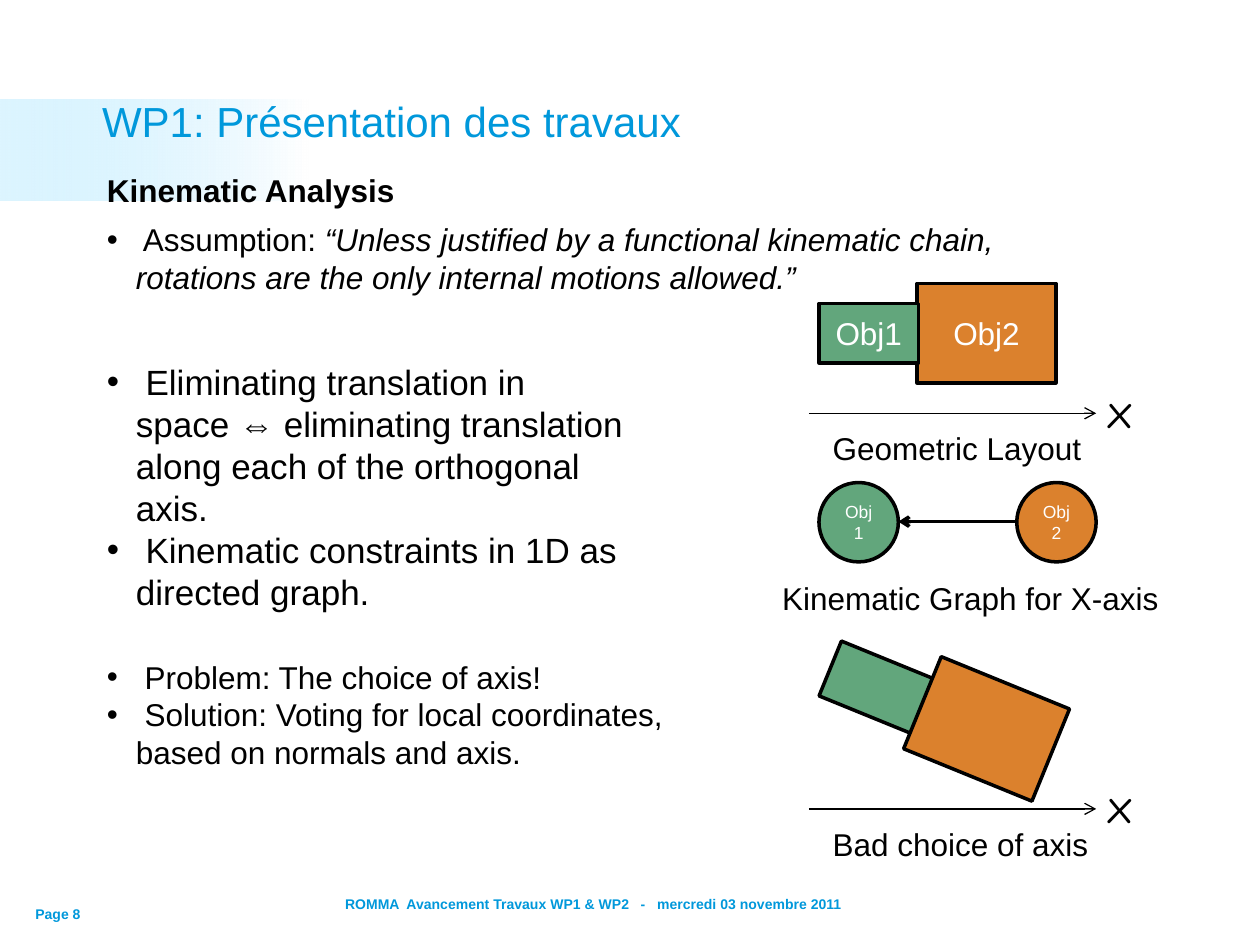
from dataclasses import dataclass

from lxml.etree import SubElement
from pptx import Presentation
from pptx.dml.color import RGBColor
from pptx.enum.shapes import MSO_CONNECTOR, MSO_SHAPE
from pptx.enum.text import MSO_ANCHOR, PP_ALIGN
from pptx.oxml.ns import qn
from pptx.util import Inches, Pt


@dataclass(frozen=True)
class Theme:
    font: str = "Arial"
    axis_font: str = "Comic Neue"
    blue: str = "0098DB"
    sky: str = "AAE6FF"
    white: str = "FFFFFF"
    black: str = "000000"
    green: str = "62A67C"
    orange: str = "DB812D"
    title: int = 24
    large: int = 20
    body: int = 18
    node: int = 10
    footer: int = 8
    axis: int = 28
    outline: float = 2
    thin: float = 0.75


class Deck:
    COLS, ROWS = 100, 75

    def __init__(self, theme):
        self.t = theme
        self.prs = Presentation()
        self.prs.slide_width, self.prs.slide_height = Inches(10), Inches(7.5)
        self.s = self.prs.slides.add_slide(self.prs.slide_layouts[6])

    def x(self, cols):
        return round(self.prs.slide_width * cols / self.COLS)

    def y(self, rows):
        return round(self.prs.slide_height * rows / self.ROWS)

    def box(self, col, row, cols, rows):
        return self.x(col), self.y(row), self.x(cols), self.y(rows)

    def run(self, p, text, size, color, bold=False, italic=False, font=None):
        r = p.add_run()
        r.text = text
        r.font.name = font or self.t.font
        r.font.size = Pt(size)
        r.font.bold, r.font.italic = bold, italic
        r.font.color.rgb = RGBColor.from_string(color)

    def frame(self, at, wrap=True, inset=True, anchor=MSO_ANCHOR.TOP):
        tf = self.s.shapes.add_textbox(*self.box(*at)).text_frame
        tf.word_wrap, tf.vertical_anchor = wrap, anchor
        if not inset:
            tf.margin_left = tf.margin_right = tf.margin_top = tf.margin_bottom = 0
        return tf

    def text(self, at, text, size, color=None, bold=False, font=None, spacing=None, **layout):
        p = self.frame(at, **layout).paragraphs[0]
        p.line_spacing = spacing
        self.run(p, text, size, color or self.t.black, bold, font=font)

    def bullets(self, at, items, size):
        tf = self.frame(at)
        for i, (plain, quote) in enumerate(items):
            p = tf.add_paragraph() if i else tf.paragraphs[0]
            pPr = p._p.get_or_add_pPr()
            pPr.set("marL", str(Inches(0.23)))
            pPr.set("indent", str(-Inches(0.23)))
            SubElement(pPr, qn("a:buFont"), typeface=self.t.font)
            SubElement(pPr, qn("a:buChar"), char="•")
            self.run(p, plain, size, self.t.black)
            if quote:
                self.run(p, quote, size, self.t.black, italic=True)

    def shape(self, kind, at, fill, label=None, size=None, angle=0):
        sp = self.s.shapes.add_shape(kind, *self.box(*at))
        sp.shadow.inherit = False
        sp.rotation = angle
        sp.fill.solid()
        sp.fill.fore_color.rgb = RGBColor.from_string(fill)
        sp.line.color.rgb = RGBColor.from_string(self.t.black)
        sp.line.width = Pt(self.t.outline)
        if label:
            tf = sp.text_frame
            tf.word_wrap, tf.vertical_anchor = True, MSO_ANCHOR.MIDDLE
            p = tf.paragraphs[0]
            p.alignment = PP_ALIGN.CENTER
            self.run(p, label, size, self.t.white)

    def band(self, at):
        sp = self.s.shapes.add_shape(MSO_SHAPE.RECTANGLE, *self.box(*at))
        sp.shadow.inherit = False
        sp.line.fill.background()
        sp.fill.gradient()
        sp.fill.gradient_angle = 0
        for stop, color in zip(sp.fill.gradient_stops, (self.t.sky, self.t.white)):
            stop.color.rgb = RGBColor.from_string(color)
        first = next(sp._element.spPr.iter(qn("a:srgbClr")))
        SubElement(first, qn("a:alpha"), val="40000")

    def arrow(self, start, end, row, width):
        y = self.y(row)
        line = self.s.shapes.add_connector(
            MSO_CONNECTOR.STRAIGHT, self.x(start), y, self.x(end), y)
        line.line.color.rgb = RGBColor.from_string(self.t.black)
        line.line.width = Pt(width)
        SubElement(line.line._get_or_add_ln(), qn("a:tailEnd"), type="arrow")
        SubElement(line._element.spPr, qn("a:effectLst"))

    def axis(self, row):
        self.arrow(64.2, 87, row, self.t.thin)
        self.text((87, row - 3.2, 3.1, 5.7), "x", self.t.axis, font=self.t.axis_font)


def main():
    t = Theme()
    d = Deck(t)
    rect, oval = MSO_SHAPE.RECTANGLE, MSO_SHAPE.OVAL
    left = 7.5

    d.band((0, 7.9, 24.5, 8))
    d.text((26.4, 70.6, 55.1, 2.4),
           "ROMMA  Avancement Travaux WP1 & WP2   -   mercredi 03 novembre 2011",
           t.footer, t.blue, bold=True)
    d.text((2.8, 70.6, 14.8, 2.6), "Page 8", t.footer, t.blue, bold=True,
           inset=False, anchor=MSO_ANCHOR.BOTTOM)
    d.text((8.1, 7.9, 92.2, 9.3), "WP1: Présentation des travaux", t.title, t.blue,
           spacing=0.95, inset=False)

    d.text((left, 13.1, 25.1, 4), "Kinematic Analysis", t.body, bold=True, wrap=False)
    d.bullets((left, 17, 81.1, 10.1), [
        (" Assumption: ", "“Unless justified by a functional kinematic chain, "
                          "rotations are the only internal motions allowed.”"),
    ], t.body)
    d.bullets((left, 28.1, 43.1, 17.8), [
        (" Eliminating translation in space ⇔ eliminating translation "
         "along each of the orthogonal axis.", None),
        (" Kinematic constraints in 1D as directed graph.", None),
    ], t.large)
    d.bullets((left, 51.7, 50.4, 10.1), [
        (" Problem: The choice of axis!", None),
        (" Solution: Voting for local coordinates, based on normals and axis.", None),
    ], t.body)

    d.shape(rect, (72.8, 22.5, 11, 7.9), t.orange, "Obj2", t.body)
    d.shape(rect, (65, 24.1, 7.9, 4.7), t.green, "Obj1", t.body)
    d.shape(oval, (80.7, 38.3, 6.3, 6.3), t.orange, "Obj2", t.node)
    d.shape(oval, (65, 38.3, 6.3, 6.3), t.green, "Obj1", t.node)
    d.arrow(80.7, 71.3, 41.4, t.outline)
    d.shape(rect, (65.6, 52.2, 7.9, 4.7), t.green, angle=22.2)
    d.shape(rect, (72.8, 53.9, 11, 7.9), t.orange, angle=22.2)
    for row in (32.8, 64.2):
        d.axis(row)

    for col, row, cols, caption in (
        (65.1, 33.6, 21.9, "Geometric Layout"),
        (61.1, 45.5, 32.2, "Kinematic Graph for X-axis"),
        (65.1, 65, 22.5, "Bad choice of axis"),
    ):
        d.text((col, row, cols, 4), caption, t.body, wrap=False)

    d.prs.save("out.pptx")


if __name__ == "__main__":
    main()
